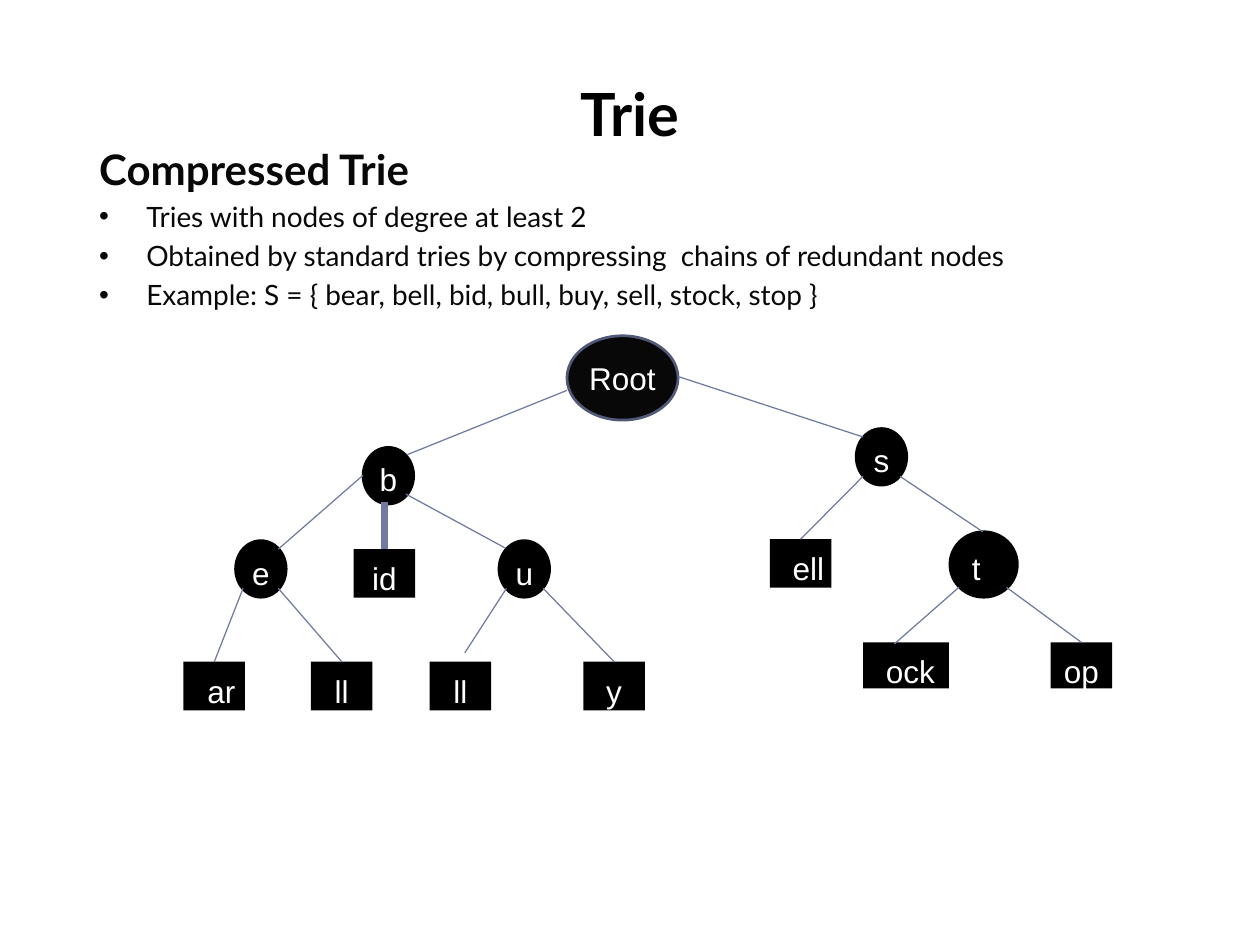
from lxml.etree import SubElement
from pptx import Presentation
from pptx.dml.color import RGBColor
from pptx.enum.shapes import MSO_CONNECTOR, MSO_SHAPE
from pptx.enum.text import MSO_ANCHOR, PP_ALIGN
from pptx.oxml.ns import qn
from pptx.util import Cm, Pt

COLORS = {"title": "000000", "body": "080808", "node": "000000", "root": "080808",
          "root_line": "525877", "edge": "717BA2", "label": "FFFFFF"}

BULLETS = [
    "Tries with nodes of degree at least 2",
    "Obtained by standard tries by compressing  chains of redundant nodes",
    "Example: S = { bear, bell, bid, bull, buy, sell, stock, stop }",
]

# Inner nodes: label, left, top, width, height, inset top, inset right (cm)
INNER = [
    ("b", 3.62, 2.25, 1.02, 1.14, 0.15, 0),
    ("s", 13.56, 1.87, 1.02, 1.14, 0.12, 0),
    ("e", 1.05, 4.13, 1.02, 1.14, 0.15, 0),
    ("u", 6.36, 4.13, 1.02, 1.14, 0.15, 0),
    ("t", 15.45, 3.95, 1.36, 1.32, 0.12, 0.3),
]

# Leaves by word: label, left, top, width, height, left indent (None = centred)
LEAVES = {
    "bear": ("ar", 0, 6.57, 1.24, 0.98, 0.48),
    "bell": ("ll", 2.57, 6.57, 1.24, 0.98, None),
    "bid": ("id", 3.43, 4.3, 1.24, 0.98, None),
    "bull": ("ll", 4.96, 6.57, 1.24, 0.98, None),
    "buy": ("y", 8.06, 6.57, 1.24, 0.98, None),
    "sell": ("ell", 11.82, 4.1, 1.24, 0.98, 0.46),
    "stock": ("ock", 13.7, 6.18, 1.73, 0.93, 0.46),
    "stop": ("op", 17.48, 6.18, 1.24, 0.93, None),
}

# Edges: start point, end point or the word whose leaf is joined, width (pt)
THIN, THICK = 0.72, 3.72
EDGES = [
    ((7.73, 1.1), (4.5, 2.4), THIN),
    ((9.97, 0.82), (13.7, 2.04), THIN),
    ((3.62, 2.81), (1.91, 4.3), THIN),
    ((4.05, 3.36), "bid", THICK),
    ((4.48, 3.19), (6.49, 4.28), THIN),
    ((13.7, 2.83), "sell", THIN),
    ((14.44, 2.83), (16.11, 3.95), THIN),
    ((1.2, 5.09), "bear", THIN),
    ((1.91, 5.09), "bell", THIN),
    ((6.51, 5.09), (5.67, 6.39), THIN),
    ((7.25, 5.09), "buy", THIN),
    ((15.63, 5.07), (14.33, 6.21), THIN),
    ((16.59, 5.07), "stop", THIN),
]


def color(name):
    return RGBColor.from_string(COLORS[name])


def add_run(p, text, font, size, col, bold=False):
    r = p.add_run()
    r.text = text
    r.font.name = font
    r.font.size = Pt(size)
    r.font.bold = bold
    r.font.color.rgb = color(col)


def add_title(s, box):
    tf = s.shapes.add_textbox(*map(Cm, box)).text_frame
    tf.word_wrap = True
    tf.vertical_anchor = MSO_ANCHOR.MIDDLE
    p = tf.paragraphs[0]
    p.alignment = PP_ALIGN.CENTER
    add_run(p, "Trie", "Lato", 34, "title", bold=True)


def add_body(s, box):
    tf = s.shapes.add_textbox(*map(Cm, box)).text_frame
    tf.word_wrap = True
    p = tf.paragraphs[0]
    p.alignment = PP_ALIGN.JUSTIFY
    add_run(p, "Compressed Trie", "Lato", 24, "body", bold=True)
    for text in BULLETS:
        p = tf.add_paragraph()
        p.alignment = PP_ALIGN.JUSTIFY
        p.space_before = Pt(3.2)
        pPr = p._p.get_or_add_pPr()
        pPr.set("marL", str(Cm(0.95)))
        pPr.set("indent", str(-Cm(0.95)))
        SubElement(pPr, qn("a:buFont")).set("typeface", "Arial")
        SubElement(pPr, qn("a:buChar")).set("char", "•")
        add_run(p, text, "Lato", 16, "body")


def add_node(s, kind, box, label, fill, line=None, insets=(0, 0, 0),
             anchor=MSO_ANCHOR.MIDDLE, align=PP_ALIGN.CENTER):
    sp = s.shapes.add_shape(kind, *map(Cm, box))
    sp.shadow.inherit = False
    sp.fill.solid()
    sp.fill.fore_color.rgb = color(fill)
    if line:
        sp.line.color.rgb = color(line)
        sp.line.width = Pt(1.56)
    else:
        sp.line.fill.background()
    tf = sp.text_frame
    tf.word_wrap = False
    tf.vertical_anchor = anchor
    tf.margin_left, tf.margin_top, tf.margin_right = map(Cm, insets)
    tf.margin_bottom = 0
    p = tf.paragraphs[0]
    p.alignment = align
    add_run(p, label, "Arial", 18, "label")
    return sp


def add_edge(s, start, end, width):
    c = s.shapes.add_connector(MSO_CONNECTOR.STRAIGHT, *map(Cm, start + end))
    c.line.color.rgb = color("edge")
    c.line.width = Pt(width)
    SubElement(c._element.spPr, qn("a:effectLst"))
    return c


def add_trie(s, box):
    x0, y0 = box[:2]

    # Root and inner nodes
    add_node(s, MSO_SHAPE.OVAL, (x0 + 7.73, y0, 2.24, 1.7), "Root", "root", "root_line")
    for label, x, y, w, h, top, right in INNER:
        add_node(s, MSO_SHAPE.OVAL, (x0 + x, y0 + y, w, h), label, "node", "node",
                 (0, top, right))

    # Leaves
    leaves = {}
    for word, (label, x, y, w, h, indent) in LEAVES.items():
        align = PP_ALIGN.CENTER if indent is None else PP_ALIGN.LEFT
        leaves[word] = add_node(s, MSO_SHAPE.RECTANGLE, (x0 + x, y0 + y, w, h), label,
                                "node", insets=(indent or 0, 0.2, 0),
                                anchor=MSO_ANCHOR.TOP, align=align)

    # Edges
    for (x, y), end, width in EDGES:
        start = (x0 + x, y0 + y)
        if end in leaves:
            add_edge(s, start, start, width).end_connect(leaves[end], 0)
        else:
            add_edge(s, start, (x0 + end[0], y0 + end[1]), width)


def main():
    prs = Presentation()
    prs.slide_width, prs.slide_height = Cm(25.4), Cm(19.05)
    s = prs.slides.add_slide(prs.slide_layouts[6])
    add_title(s, (1.27, 1.27, 22.86, 2))
    add_body(s, (1.75, 2.77, 21.03, 3.15))
    add_trie(s, (3.7, 6.77, 18.73, 7.55))
    prs.save("out.pptx")


if __name__ == "__main__":
    main()
